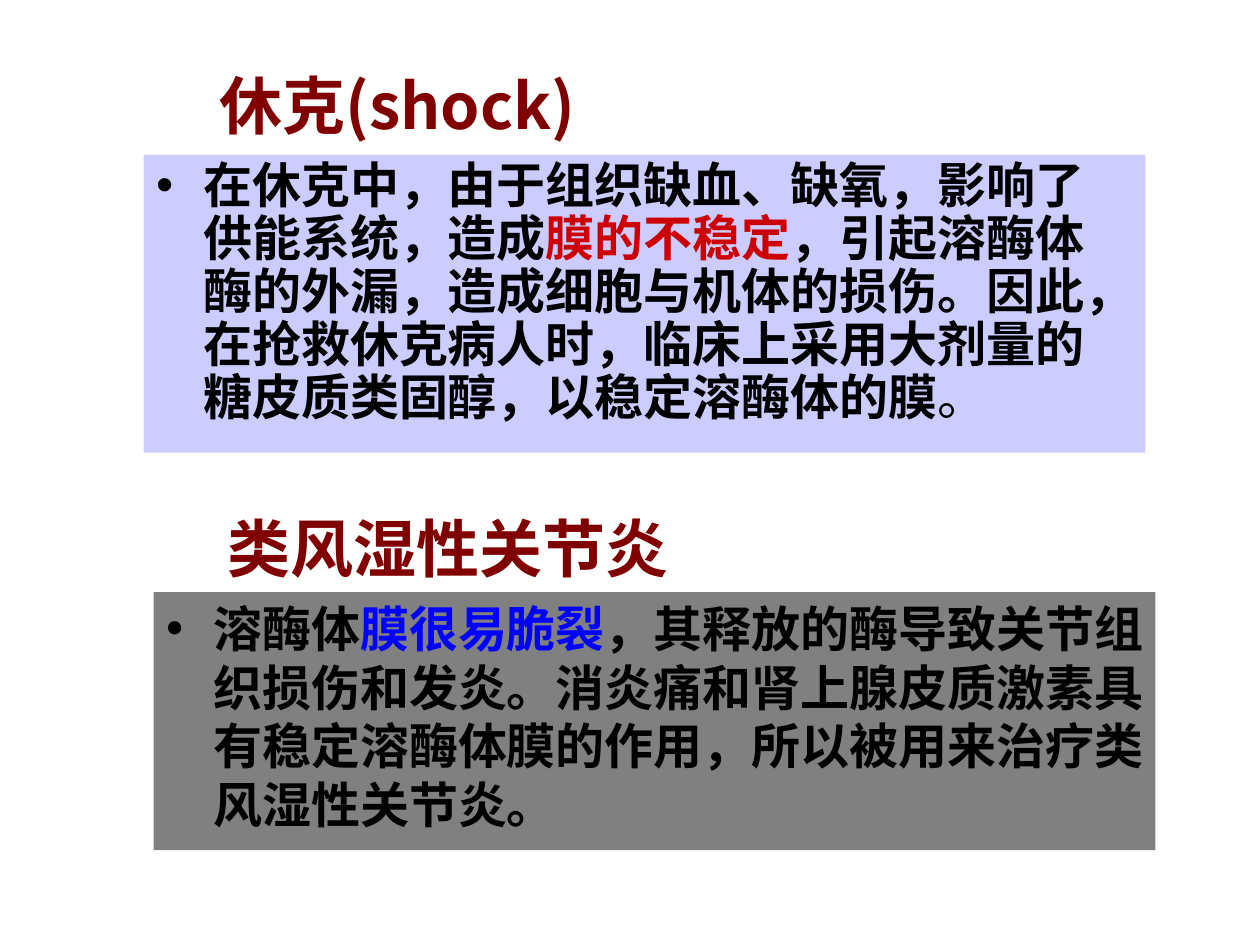
from lxml.etree import SubElement
from pptx import Presentation
from pptx.dml.color import RGBColor
from pptx.enum.text import MSO_ANCHOR as Anchor, PP_ALIGN as Align
from pptx.oxml.ns import qn
from pptx.util import Inches, Pt


def color(value):
    return RGBColor.from_string(value)


class Deck:
    font_name = "Noto Sans CJK SC"
    heading_color = "800000"
    ink = "000000"
    indent = 0.0375

    def __init__(self):
        self.prs = Presentation()
        self.prs.slide_width, self.prs.slide_height = Inches(10), Inches(7.5)
        self.slide = self.prs.slides.add_slide(self.prs.slide_layouts[6])

    def box(self, left, top, width, height):
        w, h = self.prs.slide_width, self.prs.slide_height
        area = self.slide.shapes.add_textbox(
            int(left * w), int(top * h), int(width * w), int(height * h))
        area.text_frame.word_wrap = True
        return area

    def run(self, paragraph, text, size, ink, bold=True):
        run = paragraph.add_run()
        run.text = text
        font = run.font
        font.name, font.size, font.bold = self.font_name, Pt(size), bold
        font.color.rgb = color(ink)
        SubElement(run._r.get_or_add_rPr(), qn("a:ea"), typeface=self.font_name)

    def heading(self, text, *place):
        frame = self.box(*place).text_frame
        frame.vertical_anchor = Anchor.MIDDLE
        paragraph = frame.paragraphs[0]
        paragraph.alignment = Align.CENTER
        self.run(paragraph, text, 36, self.heading_color)

    def panel(self, parts, place, fill, spacing, right_inset):
        area = self.box(*place)
        area.fill.solid()
        area.fill.fore_color.rgb = color(fill)
        area.text_frame.margin_right = Inches(right_inset)
        paragraph = area.text_frame.paragraphs[0]
        paragraph.line_spacing = spacing
        props = paragraph._p.get_or_add_pPr()
        hang = int(self.indent * self.prs.slide_width)
        props.set("marL", str(hang))
        props.set("indent", str(-hang))
        SubElement(props, qn("a:buFont"), typeface="Arial")
        SubElement(props, qn("a:buChar"), char="•")
        for text, ink, bold in parts:
            self.run(paragraph, text, 28, ink, bold)


def main():
    deck = Deck()
    ink = deck.ink

    deck.heading("休克(shock) ", 0.075, 0.027, 0.492, 0.167)
    deck.panel([
        ("在休克中，由于组织缺血、缺氧，影响了供能系统，造成", ink, True),
        ("膜的不稳定", "CC0000", True),
        ("，引起溶酶体酶的外漏，造成细胞与机体的损伤。因此，在抢救休克病人时，"
         "临床上采用大剂量的糖皮质类固醇，以稳定溶酶体的膜", ink, True),
        ("。", ink, False),
    ], (0.114, 0.164, 0.795, 0.315), "CCCCFF", 0.9, right_inset=0.25)

    deck.heading("类风湿性关节炎", 0.09, 0.521, 0.531, 0.116)
    deck.panel([
        ("溶酶体", ink, True),
        ("膜很易脆裂", "0000FF", True),
        ("，其释放的酶导致关节组织损伤和发炎。消炎痛和肾上腺皮质激素具有稳定"
         "溶酶体膜的作用，所以被用来治疗类风湿性关节炎。", ink, True),
    ], (0.122, 0.6265, 0.795, 0.273), "808080", 1.0, right_inset=0.05)

    deck.prs.save("out.pptx")


if __name__ == "__main__":
    main()
